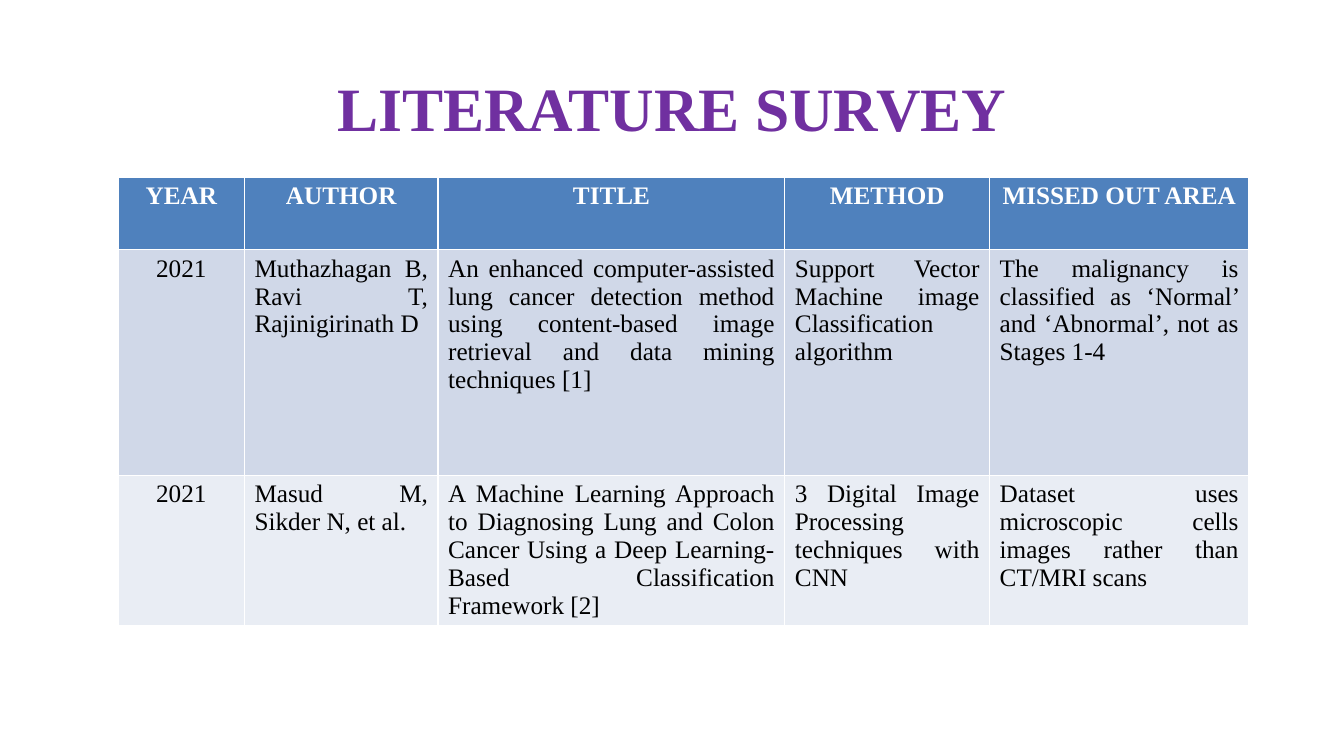
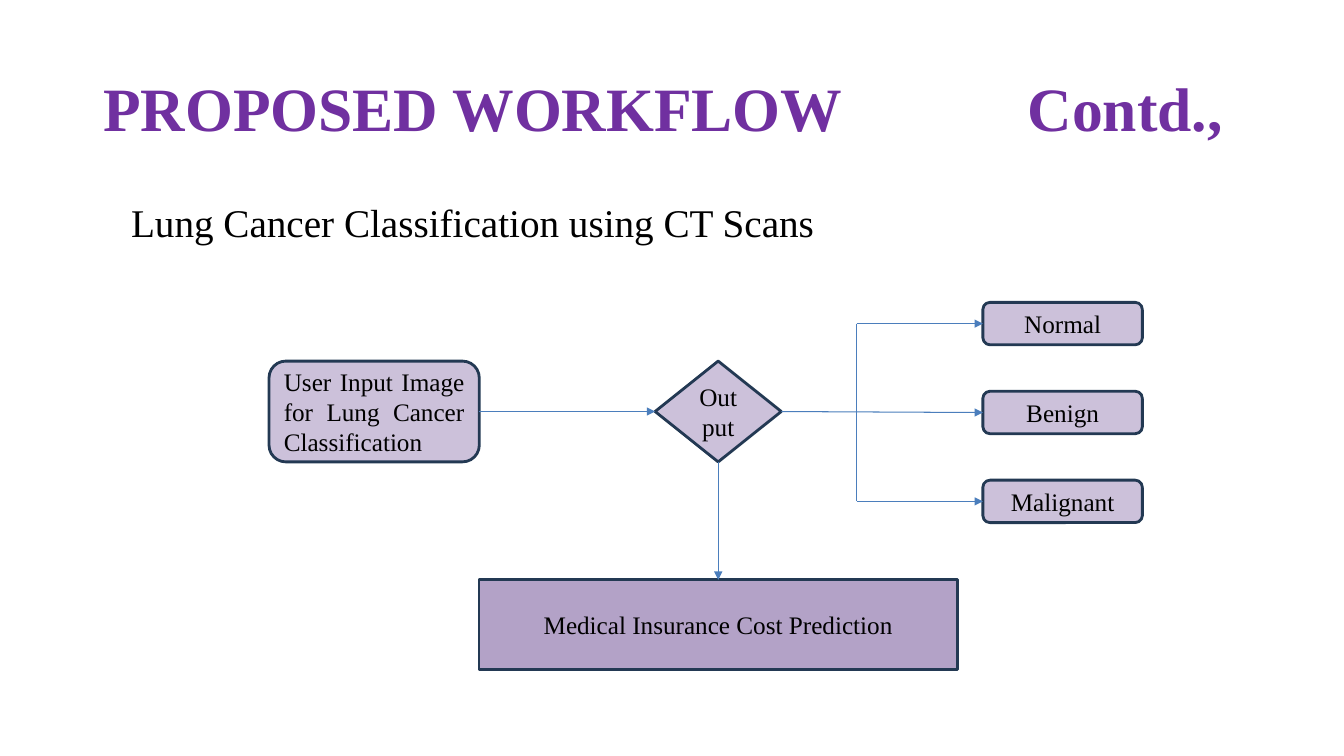
"""Builds a literature survey table and a proposed workflow diagram."""
from dataclasses import dataclass

from lxml.etree import SubElement
from pptx import Presentation
from pptx.dml.color import RGBColor as RGB
from pptx.enum.shapes import MSO_CONNECTOR as CONN, MSO_SHAPE as SHAPE
from pptx.enum.text import MSO_ANCHOR as ANCHOR, MSO_AUTO_SIZE as AUTO, PP_ALIGN as ALIGN
from pptx.oxml.ns import qn
from pptx.util import Cm, Pt


@dataclass(frozen=True)
class Theme:
    font: str = "Times New Roman"
    title_size: int = 44
    lead_size: int = 28
    body_size: int = 18
    title: RGB = RGB(0x70, 0x30, 0xA0)
    text: RGB = RGB(0, 0, 0)
    white: RGB = RGB(0xFF, 0xFF, 0xFF)
    header: RGB = RGB(0x4F, 0x81, 0xBD)
    bands: tuple = (RGB(0xD0, 0xD8, 0xE8), RGB(0xE9, 0xED, 0xF4))
    node: RGB = RGB(0xCC, 0xC1, 0xDA)
    result: RGB = RGB(0xB3, 0xA2, 0xC7)
    outline: RGB = RGB(0x23, 0x39, 0x53)
    arrow: RGB = RGB(0x4B, 0x7E, 0xBC)


T = Theme()


def add_text(tf, text, align=ALIGN.CENTER, size=T.body_size, color=T.text, bold=False):
    tf.word_wrap = True
    p = tf.paragraphs[0]
    p.alignment = align
    r = p.add_run()
    r.text = text
    r.font.name, r.font.size, r.font.bold = T.font, Pt(size), bold
    r.font.color.rgb = color
    return p


def add_line(s, x1, y1, x2, y2, arrow=True):
    line = s.shapes.add_connector(CONN.STRAIGHT, x1, y1, x2, y2)
    line.line.color.rgb = T.arrow
    line.line.width = Pt(0.75)
    if arrow:
        SubElement(line.line._get_or_add_ln(), qn("a:tailEnd"), type="triangle")
    SubElement(line._element.spPr, qn("a:effectLst"))
    return line


prs = Presentation()
prs.slide_width, prs.slide_height = Cm(33.87), Cm(19.05)

slides = []
title_ps = []
for text, left, align in [
    ("LITERATURE SURVEY", 2.44, ALIGN.CENTER),
    ("PROPOSED WORKFLOW\tContd.,", 2.6, ALIGN.LEFT),
]:
    s = prs.slides.add_slide(prs.slide_layouts[5])
    title = s.shapes.title
    title.left, title.top, title.width, title.height = Cm(left), Cm(1.73), Cm(29), Cm(1.9)
    tf = title.text_frame
    tf.margin_left = tf.margin_right = tf.margin_top = tf.margin_bottom = 0
    tf.vertical_anchor = ANCHOR.MIDDLE
    tf.auto_size = AUTO.NONE
    title_ps.append(add_text(tf, text, align, T.title_size, T.title, True))
    slides.append(s)
survey, workflow = slides
tabs = SubElement(title_ps[1]._p.get_or_add_pPr(), qn("a:tabLst"))
SubElement(tabs, qn("a:tab"), pos=str(Cm(23.3)), algn="l")

rows = [
    ("YEAR", "AUTHOR", "TITLE", "METHOD", "MISSED OUT AREA"),
    (
        "2021",
        "Muthazhagan B, Ravi T, Rajinigirinath D",
        "An enhanced computer-assisted lung cancer detection method using "
        "content-based image retrieval and data mining techniques [1]",
        "Support Vector Machine image Classification algorithm",
        "The malignancy is classified as ‘Normal’ and ‘Abnormal’, not as Stages 1-4",
    ),
    (
        "2021",
        "Masud M, Sikder N, et al.",
        "A Machine Learning Approach to Diagnosing Lung and Colon Cancer Using "
        "a Deep Learning-Based Classification Framework [2]",
        "3 Digital Image Processing techniques with CNN",
        "Dataset uses microscopic cells images rather than CT/MRI scans",
    ),
]
col_widths = [3.18, 4.88, 8.74, 5.16, 6.53]
row_heights = [1.83, 5.69, 3.78]
table = survey.shapes.add_table(
    len(rows), len(col_widths), Cm(2.98), Cm(4.46), Cm(sum(col_widths)), Cm(sum(row_heights))
).table
for col, width in zip(table.columns, col_widths):
    col.width = Cm(width)
for i, (texts, height) in enumerate(zip(rows, row_heights)):
    table.rows[i].height = Cm(height)
    header = i == 0
    for j, text in enumerate(texts):
        cell = table.cell(i, j)
        cell.fill.solid()
        cell.fill.fore_color.rgb = T.header if header else T.bands[(i - 1) % 2]
        add_text(
            cell.text_frame,
            text,
            ALIGN.CENTER if header or j == 0 else ALIGN.JUSTIFY,
            color=T.white if header else T.text,
            bold=header,
        )

lead = workflow.shapes.add_textbox(Cm(1.8), Cm(4.88), Cm(20.22), Cm(1.45))
add_text(lead.text_frame, "Lung Cancer Classification using CT Scans", size=T.lead_size)

class_top, class_pitch = 7.62, 2.24
classes = [
    (name, SHAPE.ROUNDED_RECTANGLE, 24.77, class_top + i * class_pitch, 4.02, 1.07, T.node, ALIGN.CENTER)
    for i, name in enumerate(["Normal", "Benign", "Malignant"])
]
nodes = {}
for text, kind, x, y, w, h, fill, align in [
    ("User Input Image for Lung Cancer Classification", SHAPE.ROUNDED_RECTANGLE,
     6.78, 9.1, 5.3, 2.54, T.node, ALIGN.JUSTIFY),
    ("Output", SHAPE.FLOWCHART_DECISION, 16.51, 9.1, 3.18, 2.54, T.node, ALIGN.CENTER),
    ("Medical Insurance Cost Prediction", SHAPE.RECTANGLE,
     12.07, 14.61, 12.06, 2.26, T.result, ALIGN.CENTER),
    *classes,
]:
    sp = workflow.shapes.add_shape(kind, Cm(x), Cm(y), Cm(w), Cm(h))
    sp.shadow.inherit = False
    sp.fill.solid()
    sp.fill.fore_color.rgb = fill
    sp.line.color.rgb = T.outline
    sp.line.width = Pt(2)
    add_text(sp.text_frame, text, align)
    nodes[text.split()[0]] = sp

for start, begin_site, end, end_site in [
    ("User", 3, "Output", 1),
    ("Output", 3, "Benign", 1),
    ("Output", 2, "Medical", 0),
]:
    line = add_line(workflow, 0, 0, 0, 0)
    line.begin_connect(nodes[start], begin_site)
    line.end_connect(nodes[end], end_site)

branch_x = Cm(21.59)
branch_ys = []
for name in ("Normal", "Malignant"):
    sp = nodes[name]
    y = sp.top + sp.height // 2
    add_line(workflow, branch_x, y, sp.left, y).end_connect(sp, 1)
    branch_ys.append(y)
add_line(workflow, branch_x, branch_ys[0], branch_x, branch_ys[1], arrow=False)

prs.save("out.pptx")
